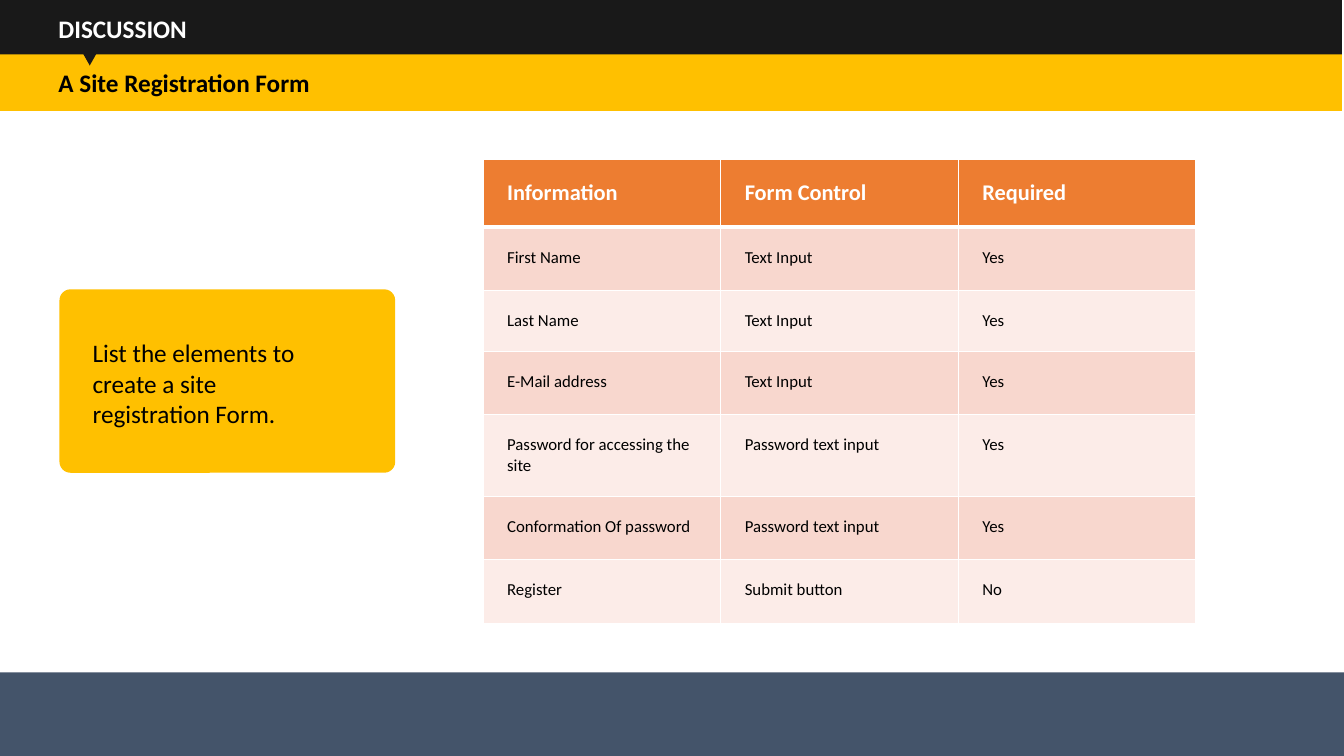
from lxml.etree import SubElement
from pptx import Presentation
from pptx.dml.color import RGBColor
from pptx.enum.shapes import MSO_SHAPE as SHAPE
from pptx.enum.text import MSO_ANCHOR, MSO_AUTO_SIZE, PP_ALIGN
from pptx.oxml.ns import qn
from pptx.util import Inches, Pt

SECTION = "DISCUSSION"
TITLE = "A Site Registration Form"
TASK = "List the elements to create a site registration Form."
ROWS = [
    ("Information", "Form Control", "Required"),
    ("First Name", "Text Input", "Yes"),
    ("Last Name", "Text Input", "Yes"),
    ("E-Mail address", "Text Input", "Yes"),
    ("Password for accessing the site", "Password text input", "Yes"),
    ("Conformation Of password", "Password text input", "Yes"),
    ("Register", "Submit button", "No"),
]
ROW_HEIGHTS = (0.57, 0.63, 0.56, 0.63, 0.47, 0.63, 0.63)
COL_WIDTH = 2.357
FONT = "Calibri"

WHITE = RGBColor(0xFF, 0xFF, 0xFF)
BLACK = RGBColor(0, 0, 0)
CHARCOAL = RGBColor(0x19, 0x19, 0x19)
YELLOW = RGBColor(0xFF, 0xC0, 0x00)
SLATE = RGBColor(0x44, 0x54, 0x6A)
ORANGE = RGBColor(0xED, 0x7D, 0x31)
BANDS = (RGBColor(0xFC, 0xEC, 0xE8), RGBColor(0xF8, 0xD7, 0xCE))

BAR = (-0.02, 13.33, 0.56)  # left, width, height
BAR_INSET = 0.6
CELL_MARGINS = {"margin_left": 0.24, "margin_top": 0.2,
                "margin_right": 0.1, "margin_bottom": 0.2}


def paint(s, color):
    s.fill.solid()
    s.fill.fore_color.rgb = color


def add_block(slide, kind, box, color):
    s = slide.shapes.add_shape(kind, *map(Inches, box))
    s.shadow.inherit = False
    paint(s, color)
    s.line.fill.background()
    return s


def write(tf, text, size, color, bold=False):
    p = tf.paragraphs[0]
    p.alignment = PP_ALIGN.LEFT
    r = p.add_run()
    r.text = text
    for name, value in {"name": FONT, "size": Pt(size), "bold": bold}.items():
        setattr(r.font, name, value)
    r.font.color.rgb = color


def write_bar(s, text, color):
    tf = s.text_frame
    tf.auto_size = MSO_AUTO_SIZE.NONE
    tf.vertical_anchor = MSO_ANCHOR.MIDDLE
    tf.margin_left = Inches(BAR_INSET)
    write(tf, text, 18, color, True)


def add_borders(cell, bottom):
    tc_pr = cell._tc.get_or_add_tcPr()
    for side, width in (("L", 1), ("R", 1), ("T", 1), ("B", bottom)):
        ln = SubElement(tc_pr, qn(f"a:ln{side}"), w=str(Pt(width)))
        fill = SubElement(ln, qn("a:solidFill"))
        SubElement(fill, qn("a:srgbClr"), val=str(WHITE))


def add_form_table(slide, left, top):
    n_cols = len(ROWS[0])
    table = slide.shapes.add_table(
        len(ROWS), n_cols, Inches(left), Inches(top),
        Inches(COL_WIDTH * n_cols), Inches(sum(ROW_HEIGHTS))).table
    for col in table.columns:
        col.width = Inches(COL_WIDTH)
    for i, (texts, height) in enumerate(zip(ROWS, ROW_HEIGHTS)):
        header = i == 0
        table.rows[i].height = Inches(height)
        for cell, text in zip(table.rows[i].cells, texts):
            for name, value in CELL_MARGINS.items():
                setattr(cell, name, Inches(value))
            add_borders(cell, 3 if header or i == 1 and False else 1)
            paint(cell, ORANGE if header else BANDS[i % 2])
            write(cell.text_frame, text, 16 if header else 12,
                  WHITE if header else BLACK, header)


def main():
    prs = Presentation()
    prs.slide_width, prs.slide_height = Inches(13.33), Inches(7.5)
    slide = prs.slides.add_slide(prs.slide_layouts[5])
    left, width, height = BAR

    add_block(slide, SHAPE.RECTANGLE, (0, 6.67, 13.33, 0.83), SLATE)
    section = add_block(slide, SHAPE.RECTANGLE, (left, 0, width, height), CHARCOAL)
    write_bar(section, SECTION, WHITE)

    title = slide.shapes.title
    title.left, title.top, title.width, title.height = map(
        Inches, (left, 0.54, width, height))
    paint(title, YELLOW)
    write_bar(title, TITLE, BLACK)
    slide.shapes._spTree.append(title._element)  # in front of the section bar

    pointer = add_block(slide, SHAPE.ISOSCELES_TRIANGLE, (0.8, 0.49, 0.18, 0.16), CHARCOAL)
    pointer.rotation = 180

    add_form_table(slide, 4.79, 1.58)

    card = add_block(slide, SHAPE.ROUNDED_RECTANGLE, (0.59, 2.87, 3.33, 1.82), YELLOW)
    card.adjustments[0] = 0.06
    task = slide.shapes.add_textbox(*map(Inches, (0.82, 3.3, 2.6, 1.01)))
    task.text_frame.word_wrap = True
    task.text_frame.auto_size = MSO_AUTO_SIZE.SHAPE_TO_FIT_TEXT
    write(task.text_frame, TASK, 18, BLACK)

    prs.save("out.pptx")


if __name__ == "__main__":
    main()
